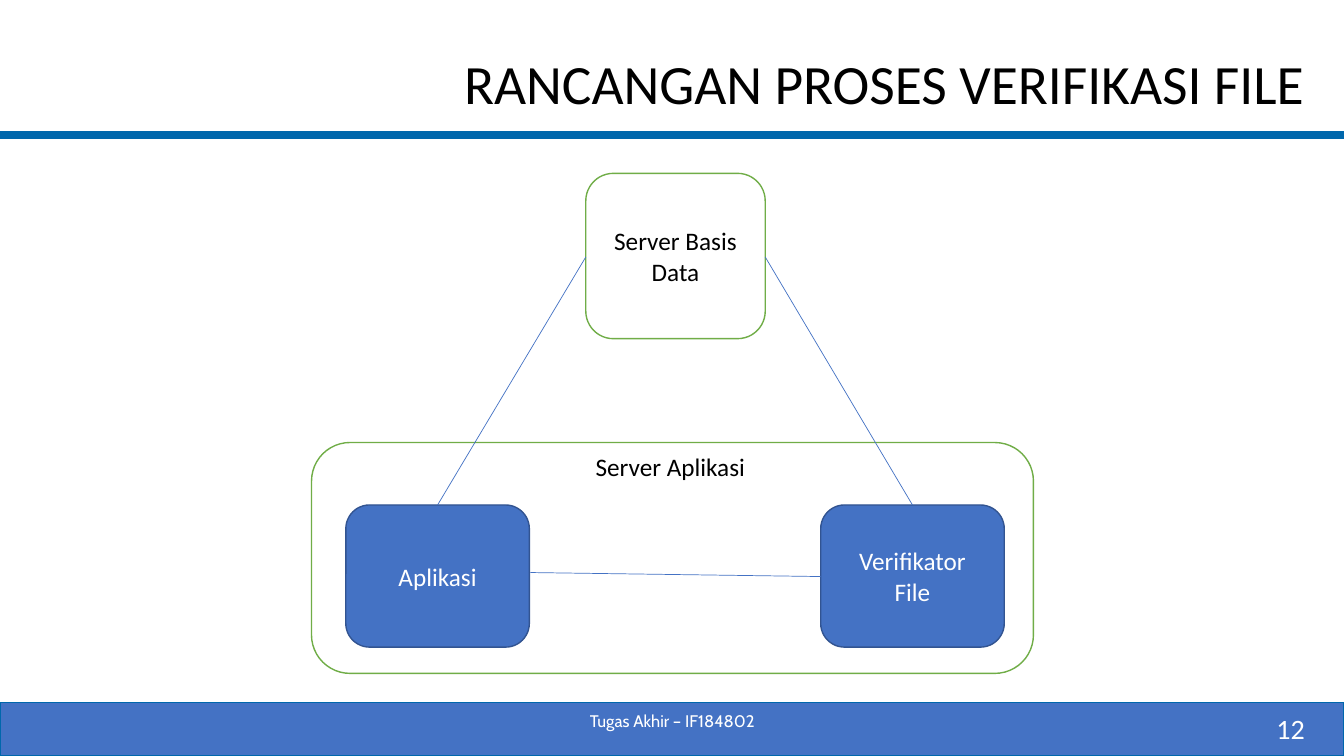
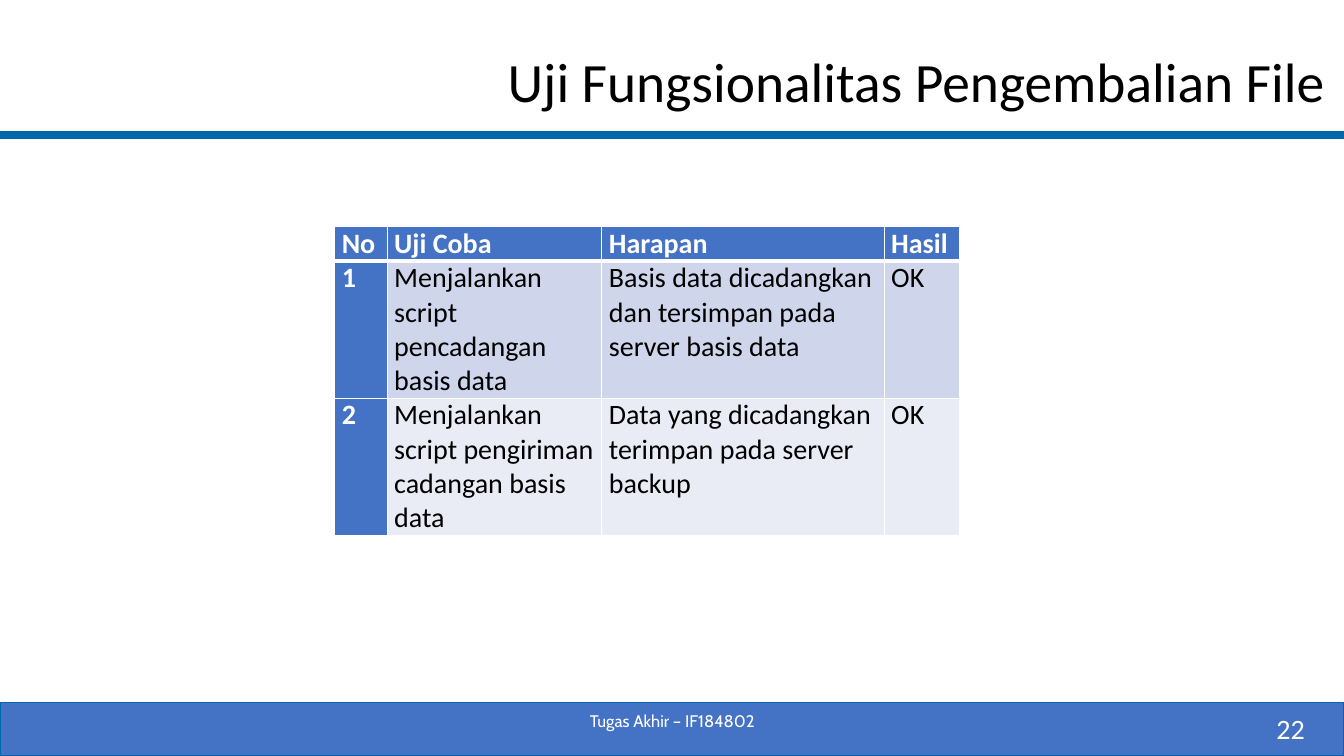
"""Build two thesis slides: a file verification diagram and a test table."""
from pptx import Presentation
from pptx.dml.color import RGBColor
from pptx.enum.shapes import MSO_CONNECTOR as Connector, MSO_SHAPE as Preset
from pptx.enum.text import MSO_ANCHOR as Anchor, MSO_AUTO_SIZE as AutoSize, PP_ALIGN as Align
from pptx.oxml.xmlchemy import OxmlElement
from pptx.util import Inches, Pt

COLORS = {
    "white": "FFFFFF",
    "black": "000000",
    "rule": "0067AC",
    "blue": "4472C4",
    "blue_edge": "325491",
    "green": "70AD47",
    "band_dark": "CFD5EA",
    "band_light": "E9EBF5",
}
FONT = "Calibri"
FOOTER_FONT = "Cabin"
FOOTER = "Tugas Akhir – IF184802"
WIDTH, HEIGHT = 13.33, 7.5
TITLE_ONLY = 5


def color(name):
    return RGBColor.from_string(COLORS[name])


def assign(target, values):
    for name, value in values.items():
        setattr(target, name, value)


class Deck:
    def __init__(self):
        self.presentation = Presentation()
        assign(self.presentation,
               {"slide_width": Inches(WIDTH), "slide_height": Inches(HEIGHT)})
        self.slide = None

    def add_slide(self, title, number, left, top):
        layout = self.presentation.slide_layouts[TITLE_ONLY]
        self.slide = self.presentation.slides.add_slide(layout)
        self.line((0, 1.34), (WIDTH, 1.34), "rule", 6)
        self.title(title, left, top)
        self.box((0, 6.97, WIDTH, 0.53), "blue", "rule", preset=Preset.RECTANGLE)
        self.text((10.04, 7.03, 3, 0.4), number, 20, "white", Align.RIGHT)
        self.text((4.42, 6.95, 4.5, 0.4), FOOTER, 12, "white", Align.CENTER,
                  FOOTER_FONT)

    def fill_text(self, frame, text, size, tint, align=Align.LEFT, font=FONT,
                  bold=False, spacing=1.0):
        frame.text = text
        for paragraph in frame.paragraphs:
            assign(paragraph, {"alignment": align, "line_spacing": spacing})
            for run in paragraph.runs:
                assign(run.font, {"name": font, "size": Pt(size), "bold": bold})
                run.font.color.rgb = color(tint)

    def title(self, text, left, top):
        title = self.slide.shapes.title
        assign(title, {"left": Inches(left), "top": Inches(top),
                       "width": Inches(11.5), "height": Inches(0.84)})
        assign(title.text_frame, {"auto_size": AutoSize.NONE, "word_wrap": True,
                                  "vertical_anchor": Anchor.MIDDLE})
        self.fill_text(title.text_frame, text, 39.6, "black", Align.RIGHT,
                       spacing=1.5)

    def text(self, area, text, size, tint, align=Align.LEFT, font=FONT):
        frame = self.slide.shapes.add_textbox(*map(Inches, area)).text_frame
        assign(frame, {"word_wrap": True, "vertical_anchor": Anchor.MIDDLE})
        self.fill_text(frame, text, size, tint, align, font)

    def box(self, area, fill, edge, text="", tint="white",
            preset=Preset.ROUNDED_RECTANGLE):
        shape = self.slide.shapes.add_shape(preset, *map(Inches, area))
        shape.shadow.inherit = False
        shape.fill.solid()
        shape.fill.fore_color.rgb = color(fill)
        shape.line.color.rgb = color(edge)
        shape.line.width = Pt(1)
        if text:
            assign(shape.text_frame, {"word_wrap": True,
                                      "vertical_anchor": Anchor.MIDDLE})
            self.fill_text(shape.text_frame, text, 18, tint, Align.CENTER)

    def line(self, start, end, tint, width):
        connector = self.slide.shapes.add_connector(
            Connector.STRAIGHT, *map(Inches, start + end))
        connector.line.color.rgb = color(tint)
        connector.line.width = Pt(width)
        connector._element.spPr.append(OxmlElement("a:effectLst"))

    def border(self, cell, side, width):
        edge = OxmlElement(f"a:ln{side}")
        edge.set("w", str(Pt(width)))
        fill = OxmlElement("a:solidFill")
        tint = OxmlElement("a:srgbClr")
        tint.set("val", COLORS["white"])
        fill.append(tint)
        edge.append(fill)
        cell._tc.get_or_add_tcPr().append(edge)

    def table(self, left, top, widths, heights, rows):
        area = (left, top, sum(widths), sum(heights))
        table = self.slide.shapes.add_table(
            len(rows), len(widths), *map(Inches, area)).table
        for column, width in zip(table.columns, widths):
            column.width = Inches(width)
        for row, height in zip(table.rows, heights):
            row.height = Inches(height)
        for row_index, row in enumerate(rows):
            for column_index, text in enumerate(row):
                self.cell(table.cell(row_index, column_index), text,
                          row_index, column_index)

    def cell(self, cell, text, row, column):
        heading = row == 0 or column == 0
        band = "band_dark" if row % 2 else "band_light"
        assign(cell, {"margin_left": Inches(0.07), "margin_right": Inches(0.07),
                      "margin_top": 0, "margin_bottom": 0,
                      "vertical_anchor": Anchor.TOP if row else Anchor.BOTTOM})
        widths = {"L": 1, "R": 1, "T": 3 if row == 1 else 1, "B": 1 if row else 3}
        for side, width in widths.items():
            self.border(cell, side, width)
        cell.fill.solid()
        cell.fill.fore_color.rgb = color("blue" if heading else band)
        self.fill_text(cell.text_frame, text, 20, "white" if heading else "black",
                       bold=heading)


def add_verification_slide(deck):
    deck.add_slide("RANCANGAN PROSES VERIFIKASI FILE", "12", 1.54, 0.23)
    deck.box((3.09, 4.39, 7.16, 2.29), "white", "green")
    for left, label in ((3.43, "Aplikasi"), (8.14, "Verifikator\nFile")):
        deck.box((left, 5.01, 1.82, 1.41), "blue", "blue_edge", label)
    deck.box((5.81, 1.72, 1.78, 1.64), "white", "green", "Server Basis Data", "black")
    deck.text((5.81, 4.43, 1.7, 0.4), "Server Aplikasi", 18, "black")
    links = (
        ((5.26, 5.68), (8.14, 5.72)),
        ((9.05, 5.01), (7.59, 2.55)),
        ((4.34, 5.01), (5.81, 2.55)),
    )
    for start, end in links:
        deck.line(start, end, "blue", 0.5)


def add_test_slide(deck):
    deck.add_slide("Uji Fungsionalitas Pengembalian File", "22", 1.74, 0.21)
    rows = (
        ("No", "Uji Coba", "Harapan", "Hasil"),
        ("1", "Menjalankan script pencadangan basis data",
         "Basis data dicadangkan dan tersimpan pada server basis data", "OK"),
        ("2", "Menjalankan script pengiriman cadangan basis data",
         "Data yang dicadangkan terimpan pada server backup", "OK"),
    )
    deck.table(3.32, 2.25, (0.52, 2.13, 2.8, 0.75), (0.34, 1.36, 1.36), rows)


def main():
    deck = Deck()
    add_verification_slide(deck)
    add_test_slide(deck)
    deck.presentation.save("out.pptx")


if __name__ == "__main__":
    main()
